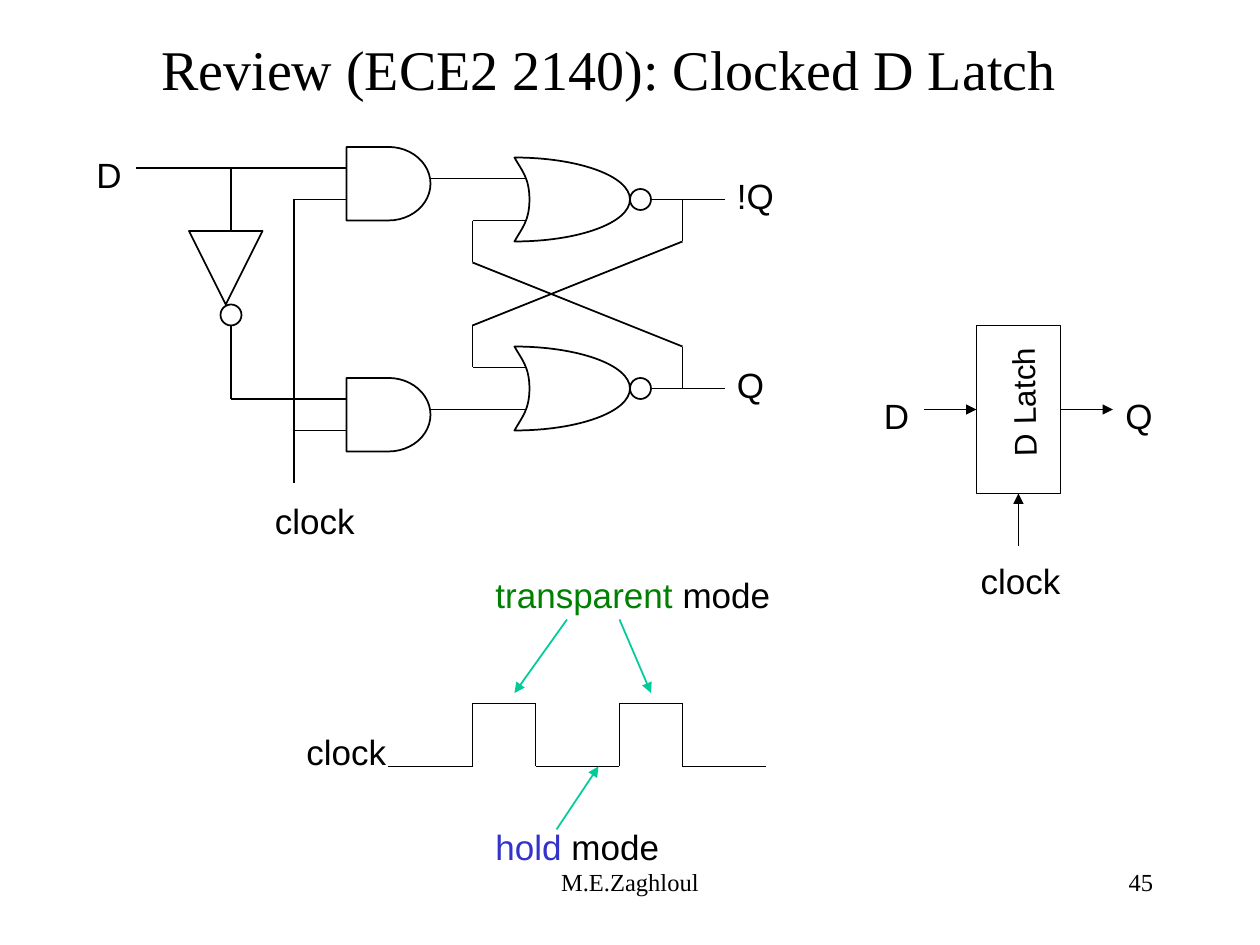
from dataclasses import dataclass

from lxml import etree
from pptx import Presentation
from pptx.dml.color import RGBColor
from pptx.enum import shapes, text
from pptx.oxml import ns
from pptx.util import Inches, Pt


@dataclass(frozen=True)
class Theme:
    ink: str = "000000"
    arrow: str = "00CC99"
    transparent: str = "008000"
    hold: str = "3333CC"
    serif: str = "Times New Roman"
    sans: str = "Arial"
    title: int = 32
    label: int = 20
    block: int = 18
    footer: int = 14
    line: float = 1


THEME = Theme()
CELL = Inches(1) / 12  # the slide is a grid of 120 columns by 90 rows
COLS, ROWS = 120, 90
LABEL_H = 5.25
CLOCK_W, LETTER_W = 10, 4.9
SHAPE = shapes.MSO_SHAPE


def cells(*values):
    return [round(v * CELL) for v in values]


def shift(box, x, y):
    return box[0] + x, box[1] + y


# ---- basic parts ----
def add_runs(p, runs, size, font):
    for words, color in runs:
        r = p.add_run()
        r.text = words
        r.font.size, r.font.name = Pt(size), font
        r.font.color.rgb = RGBColor.from_string(color)


def add_label(slide, at, width, runs, align=text.PP_ALIGN.LEFT, size=THEME.label,
              font=THEME.sans, height=LABEL_H, wrap=False):
    sp = slide.shapes.add_textbox(*cells(*at, width, height))
    tf = sp.text_frame
    tf.word_wrap = wrap
    if not wrap:
        tf.auto_size = text.MSO_AUTO_SIZE.SHAPE_TO_FIT_TEXT
    p = tf.paragraphs[0]
    p.alignment = align
    add_runs(p, runs, size, font)
    return sp


def outline(sp):
    sp.shadow.inherit = False
    sp.fill.background()
    sp.line.color.rgb = RGBColor.from_string(THEME.ink)
    sp.line.width = Pt(THEME.line)
    return sp


def add_outlined(slide, kind, at, w, h):
    return outline(slide.shapes.add_shape(kind, *cells(*at, w, h)))


def add_line(slide, start, end, color=THEME.ink, arrow=False):
    s = slide.shapes.add_connector(shapes.MSO_CONNECTOR.STRAIGHT, *cells(*start, *end))
    s.line.color.rgb = RGBColor.from_string(color)
    s.line.width = Pt(THEME.line)
    if arrow:
        tail = etree.SubElement(s.line._get_or_add_ln(), ns.qn("a:tailEnd"))
        tail.set("type", "triangle")
    etree.SubElement(s._element.spPr, ns.qn("a:effectLst"))
    return s


def add_wire(slide, box, *points):
    """Join the points, given relative to the box, by straight lines."""
    points = [shift(box, *point) for point in points]
    for start, end in zip(points, points[1:]):
        add_line(slide, start, end)


def curve_segments(sp):
    """Turn each three straight segments into one Bezier curve."""
    segments = list(sp._element.iter(ns.qn("a:lnTo")))
    for first, second, third in zip(*[iter(segments)] * 3):
        first.tag = ns.qn("a:cubicBezTo")
        for segment in (second, third):
            first.append(segment[0])
            segment.getparent().remove(segment)


def add_nor_gate(slide, at, w=11, h=8):
    # Control points as shares of the gate's width and height
    points = [(.06, .15), (.13, .24), (.13, .5), (.13, .76), (.06, .85), (0, 1),
              (.55, 1), (1, .78), (1, .5), (1, .22), (.55, 0), (0, 0)]
    builder = slide.shapes.build_freeform(*cells(*at))
    builder.add_line_segments([cells(*shift(at, x * w, y * h)) for x, y in points])
    gate = outline(builder.convert_to_shape())
    curve_segments(gate)
    add_outlined(slide, SHAPE.OVAL, shift(at, w, h / 2 - 1), 2, 2)


# ---- regions ----
def draw_title(slide, box, w, h):
    sp = slide.shapes.title
    sp.left, sp.top, sp.width, sp.height = cells(*box, w, h)
    tf = sp.text_frame
    tf.vertical_anchor = text.MSO_ANCHOR.MIDDLE
    p = tf.paragraphs[0]
    p.alignment = text.PP_ALIGN.CENTER
    add_runs(p, [("Review (ECE2 2140): Clocked D Latch", THEME.ink)],
             THEME.title, THEME.serif)


def draw_footer(slide, box):
    for x, w, words, align in ((0, 38, "M.E.Zaghloul", text.PP_ALIGN.CENTER),
                               (45, 25, "45", text.PP_ALIGN.RIGHT)):
        add_label(slide, shift(box, x, 0), w, [(words, THEME.ink)], align,
                  THEME.footer, THEME.serif, height=6, wrap=True)


def draw_circuit(slide, box):
    # Gates
    for y in (0, 22):
        add_outlined(slide, SHAPE.FLOWCHART_DELAY, shift(box, 25, y), 8, 7)
        add_wire(slide, box, (33, y + 3), (42, y + 3))
    for y in (1, 19):
        add_nor_gate(slide, shift(box, 41, y))
        add_wire(slide, box, (54, y + 4), (61, y + 4))
    # Inverter
    add_outlined(slide, SHAPE.ISOSCELES_TRIANGLE, shift(box, 10, 8), 7, 7).rotation = 180
    add_outlined(slide, SHAPE.OVAL, shift(box, 13, 15), 2, 2)
    # Data and clock inputs
    add_wire(slide, box, (5, 2), (25, 2))
    add_wire(slide, box, (14, 2), (14, 8))
    add_wire(slide, box, (14, 17), (14, 24), (25, 24))
    add_wire(slide, box, (25, 5), (20, 5), (20, 32))
    add_wire(slide, box, (20, 27), (25, 27))
    # Crossed feedback
    add_wire(slide, box, (42, 7), (37, 7), (37, 11), (57, 19), (57, 23))
    add_wire(slide, box, (42, 21), (37, 21), (37, 17), (57, 9), (57, 5))
    # Labels
    for words, x, y, w in (("D", 0, 0, LETTER_W), ("!Q", 61, 2, 5.9),
                           ("Q", 61, 20, LETTER_W), ("clock", 17, 33, CLOCK_W)):
        add_label(slide, shift(box, x, y), w, [(words, THEME.ink)])


def draw_block_symbol(slide, box):
    block = add_outlined(slide, SHAPE.RECTANGLE, shift(box, 10, 0), 8, 16)
    name = add_label(slide, shift(box, 8.1, 4.9), 12.7, [("D Latch", THEME.ink)],
                     text.PP_ALIGN.CENTER, THEME.block, height=4.8)
    name.rotation = 268.9
    # Inputs point at the block, the output leaves it
    for start, end, site in (((5, 8), (10, 8), 1), ((14, 21), (14, 16), 2)):
        s = add_line(slide, shift(box, *start), shift(box, *end), arrow=True)
        s.end_connect(block, site)
    s = add_line(slide, shift(box, 18, 8), shift(box, 23, 8), arrow=True)
    s.begin_connect(block, 3)
    for words, x, y, w in (("D", 0, 6, LETTER_W), ("Q", 23, 6, LETTER_W),
                           ("clock", 9.2, 21.65, CLOCK_W)):
        add_label(slide, shift(box, x, y), w, [(words, THEME.ink)])


def draw_timing(slide, box):
    # Clock wave
    low, high = 19, 13
    wave = [(9, low)]
    for rise, fall in ((17, 23), (31, 37)):
        wave += [(rise, low), (rise, high), (fall, high), (fall, low)]
    add_wire(slide, box, *wave, (45, low))
    # Labels
    add_label(slide, shift(box, 0, 15), CLOCK_W, [("clock", THEME.ink)])
    for y, w, words, color in ((0, 28.7, "transparent", THEME.transparent),
                               (24, 18, "hold", THEME.hold)):
        add_label(slide, shift(box, 18, y), w, [(words, color), (" mode", THEME.ink)])
    # Pointers from the modes to the wave
    for start, end in (((26, 5), (21, 12)), ((31, 5), (34, 12)), ((25, 25), (29, 19))):
        add_line(slide, shift(box, *start), shift(box, *end), THEME.arrow, arrow=True)


def main():
    prs = Presentation()
    prs.slide_width, prs.slide_height = cells(COLS, ROWS)
    slide = prs.slides.add_slide(prs.slide_layouts[5])
    draw_footer(slide, (41, 82))
    draw_title(slide, (9, 0), 98, 13)
    draw_block_symbol(slide, (83, 31))
    draw_circuit(slide, (8, 14))
    draw_timing(slide, (28, 54))
    prs.save("out.pptx")


if __name__ == "__main__":
    main()
